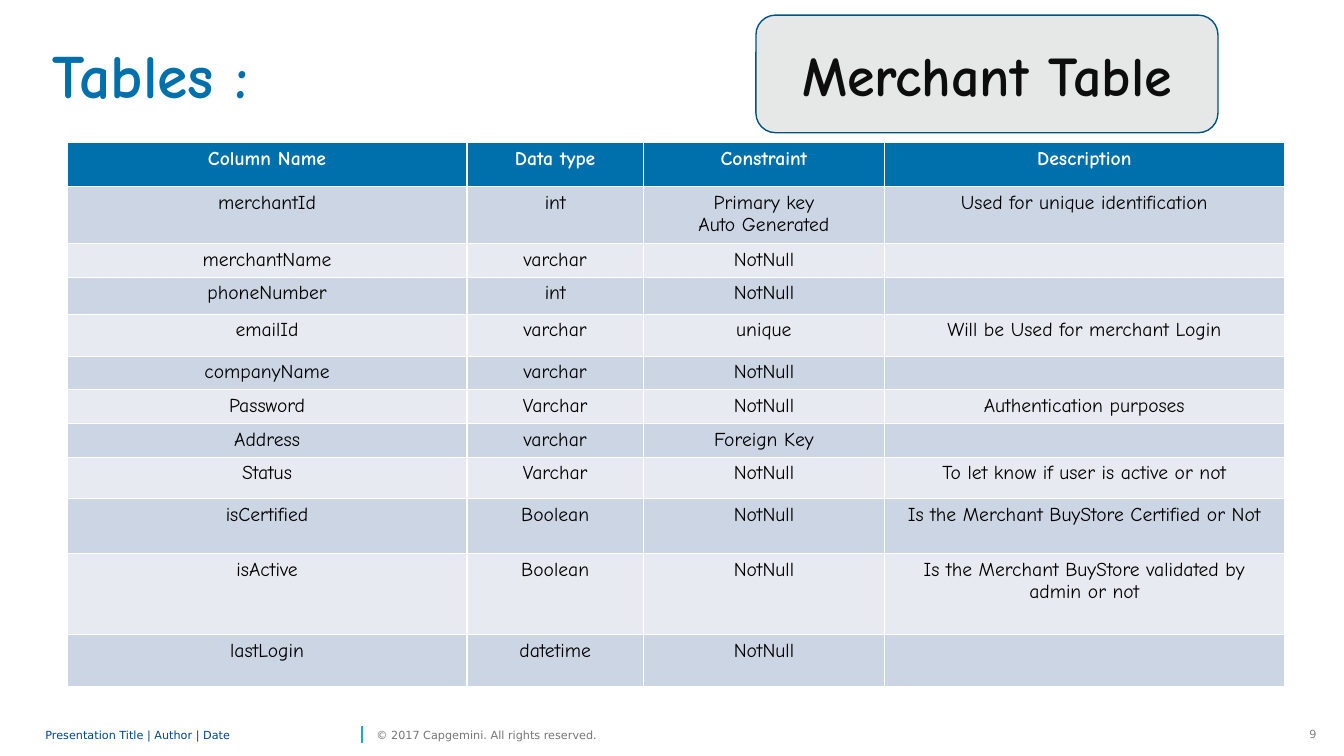
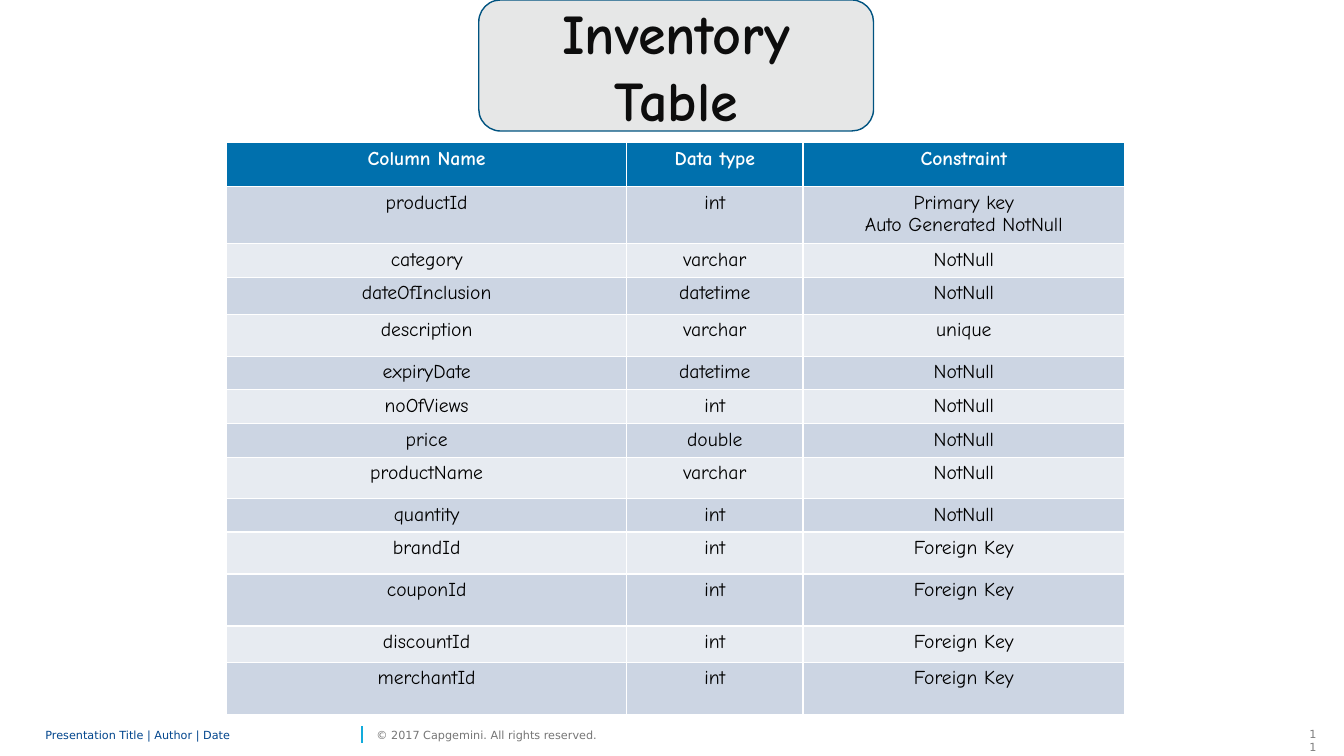
from lxml.etree import SubElement
from pptx import Presentation
from pptx.dml.color import RGBColor
from pptx.enum.shapes import MSO_CONNECTOR, MSO_SHAPE
from pptx.enum.text import MSO_ANCHOR, MSO_AUTO_SIZE, PP_ALIGN
from pptx.oxml.ns import qn
from pptx.util import Inches, Pt

# Shared look
HEAD, BODY = "Comic Neue", "DejaVu Sans"
BLUE, WHITE, BLACK = "0070AD", "FFFFFF", "000000"
BANDS = ("CCD5E3", "E7EBF1")
LEFT, MID, RIGHT = PP_ALIGN.LEFT, PP_ALIGN.CENTER, PP_ALIGN.RIGHT
TOP = 17  # grid row where both tables start

# Each row: height in grid units, then the cell texts
MERCHANT = [
    (5.2, "Column Name", "Data type", "Constraint", "Description"),
    (6.6, "merchantId", "int", "Primary key\nAuto Generated",
     "Used for unique identification"),
    (4, "merchantName", "varchar", "NotNull", ""),
    (4.4, "phoneNumber", "int", "NotNull", ""),
    (5, "emailId", "varchar", "unique", "Will be Used for merchant Login"),
    (4, "companyName", "varchar", "NotNull", ""),
    (4, "Password", "Varchar", "NotNull", "Authentication purposes"),
    (4, "Address", "varchar", "Foreign Key", ""),
    (4.9, "Status", "Varchar", "NotNull",
     "To let know if user is active or not"),
    (6.6, "isCertified", "Boolean", "NotNull",
     "Is the Merchant BuyStore Certified or Not"),
    (9.6, "isActive", "Boolean", "NotNull",
     "Is the Merchant BuyStore validated by admin or not"),
    (6.2, "lastLogin", "datetime", "NotNull", ""),
]
STOCK = [
    (5.2, "Column Name", "Data type", "Constraint"),
    (6.6, "productId", "int", "Primary key\nAuto Generated NotNull"),
    (4, "category", "varchar", "NotNull"),
    (4.4, "dateOfInclusion", "datetime", "NotNull"),
    (5, "description", "varchar", "unique"),
    (4, "expiryDate", "datetime", "NotNull"),
    (4, "noOfViews", "int", "NotNull"),
    (4, "price", "double", "NotNull"),
    (4.9, "productName", "varchar", "NotNull"),
    (4, "quantity", "int", "NotNull"),
    (5, "brandId", "int", "Foreign Key"),
    (6.2, "couponId", "int", "Foreign Key"),
    (4.3, "discountId", "int", "Foreign Key"),
    (6.2, "merchantId", "int", "Foreign Key"),
]


def unit(count):
    """Length on the slide's grid of 160 columns by 90 rows."""
    return Inches(count / 12)


def color(code):
    return RGBColor.from_string(code)


def paint(shape, code):
    shape.fill.solid()
    shape.fill.fore_color.rgb = color(code)


def write(frame, text, size, code, font=HEAD, bold=False, align=MID):
    for i, line in enumerate(text.split("\n")):
        para = frame.add_paragraph() if i else frame.paragraphs[0]
        para.alignment = align
        if not line:
            # An empty cell keeps the height of its text size
            SubElement(para._p, qn("a:endParaRPr"), sz=str(size * 100))
            continue
        run = para.add_run()
        run.text = line
        run.font.name = font
        run.font.size = Pt(size)
        run.font.bold = bold
        run.font.color.rgb = color(code)


def label(slide, box, text, code, align=LEFT):
    frame = slide.shapes.add_textbox(*map(unit, box)).text_frame
    frame.word_wrap = True
    write(frame, text, 8, code, BODY, align=align)
    return frame


def footer(slide, page):
    label(slide, (154.7, 86, 3.2, 2.9), page, "808080", RIGHT)
    for left, width, text, code in (
        (5.4, 37.1, "Presentation Title | Author | Date", "00458D"),
        (44.8, 29.2, "© 2017 Capgemini. All rights reserved.", "767676"),
    ):
        frame = label(slide, (left, 86, width, 2.9), text, code)
        frame.vertical_anchor = MSO_ANCHOR.MIDDLE
        frame.margin_left = frame.margin_right = 0
        frame.margin_top = frame.margin_bottom = 0
    ends = map(unit, (43.1, 88.4, 43.1, 86.4))
    rule = slide.shapes.add_connector(MSO_CONNECTOR.STRAIGHT, *ends)
    rule.line.color.rgb = color("12ABDB")
    rule.line.width = Pt(1)
    SubElement(rule._element.spPr, qn("a:effectLst"))


def title(slide, text):
    shape = slide.shapes.title
    shape.left, shape.top, shape.width, shape.height = map(
        unit, (5, 3.8, 80, 11))
    frame = shape.text_frame
    frame.auto_size = MSO_AUTO_SIZE.NONE
    frame.vertical_anchor = MSO_ANCHOR.TOP
    write(frame, text, 44, BLUE, bold=True, align=LEFT)


def badge(slide, box, text):
    shape = slide.shapes.add_shape(
        MSO_SHAPE.ROUNDED_RECTANGLE, *map(unit, box))
    shape.shadow.inherit = False
    paint(shape, "E6E7E7")
    shape.line.color.rgb = color("005380")
    shape.line.width = Pt(1)
    frame = shape.text_frame
    frame.word_wrap = True
    frame.vertical_anchor = MSO_ANCHOR.MIDDLE
    write(frame, text, 40, "0D0D0D", bold=True)


def grid(slide, left, cols, rows):
    high = sum(row[0] for row in rows)
    box = map(unit, (left, TOP, sum(cols), high))
    table = slide.shapes.add_table(len(rows), len(cols), *box).table
    for col, width in zip(table.columns, cols):
        col.width = unit(width)
    for i, (height, *texts) in enumerate(rows):
        table.rows[i].height = unit(height)
        head = i == 0
        for j, text in enumerate(texts):
            cell = table.cell(i, j)
            paint(cell, BLUE if head else BANDS[(i - 1) % 2])
            write(cell.text_frame, text, 14,
                  WHITE if head else BLACK, bold=head)


def main():
    deck = Presentation()
    deck.slide_width, deck.slide_height = unit(160), unit(90)
    named, blank = deck.slide_layouts[5], deck.slide_layouts[6]

    # Merchant table
    slide = deck.slides.add_slide(named)
    footer(slide, "9")
    badge(slide, (90, 1.8, 55, 14), "Merchant Table")
    grid(slide, 8, (47.6, 21, 28.7, 47.6), MERCHANT)
    title(slide, "Tables :")

    # Inventory table
    slide = deck.slides.add_slide(blank)
    footer(slide, "11")
    badge(slide, (57, 0, 47, 15.6), "Inventory Table")
    grid(slide, 27, (47.6, 21, 38.3), STOCK)

    deck.save("out.pptx")


if __name__ == "__main__":
    main()
